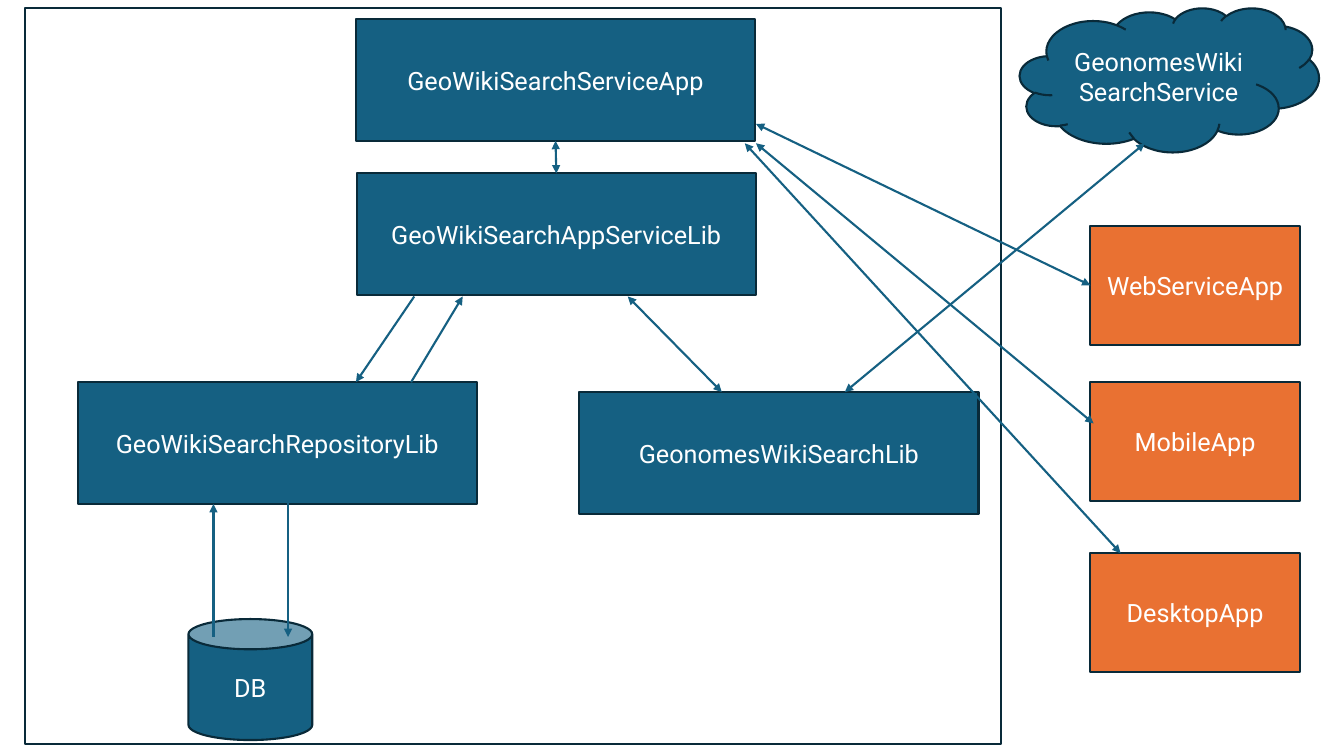
from lxml import etree
from pptx import Presentation
from pptx.dml.color import RGBColor
from pptx.enum.shapes import MSO_CONNECTOR, MSO_SHAPE
from pptx.enum.text import MSO_ANCHOR, PP_ALIGN
from pptx.oxml.ns import qn
from pptx.util import Cm, Pt

RECT, CAN, CLOUD = MSO_SHAPE.RECTANGLE, MSO_SHAPE.CAN, MSO_SHAPE.CLOUD
STRAIGHT = MSO_CONNECTOR.STRAIGHT
CENTER, MIDDLE = PP_ALIGN.CENTER, MSO_ANCHOR.MIDDLE
TOP, LEFT, BOTTOM = 0, 1, 2

BLUE = RGBColor(0x15, 0x60, 0x82)
NAVY = RGBColor(0x09, 0x2A, 0x39)
ORANGE = RGBColor(0xE9, 0x71, 0x32)
WHITE = RGBColor(0xFF, 0xFF, 0xFF)
FONT = "Roboto"

# Content, lengths in cm
MODULE_SIZE = (10.06, 3.07)
CLIENT_SIZE = (5.28, 3)
CLIENT_X = 27.48
FRAME = (0.64, 0.2, 24.59, 18.54)

MODULES = [  # name, left, top
    ("GeoWikiSearchRepositoryLib", 1.96, 9.63),
    ("GeonomesWikiSearchLib", 14.6, 9.88),
    ("GeoWikiSearchAppServiceLib", 8.99, 4.37),
    ("GeoWikiSearchServiceApp", 8.97, 0.48),
]
CLIENTS = [("WebServiceApp", 5.69), ("MobileApp", 9.63), ("DesktopApp", 13.94)]
STORES = [
    ("DB", CAN, (4.75, 15.6, 3.12, 3.05)),
    ("GeonomesWikiSearchService", CLOUD, (25.7, 0.2, 7.54, 3.63)),
]
ARROWS = [  # from, to, two-way
    ((7.26, 12.62), (7.26, 16.05), False),
    ((5.38, 16.05), (5.38, 12.7), False),
    ((21.29, 9.88), (28.85, 3.61), True),
    ((10.44, 7.47), (8.97, 9.63), False),
    ((15.82, 7.47), (18.19, 9.88), True),
    ((10.36, 9.63), (11.66, 7.47), False),
    ((27.56, 10.67), (19.05, 3.61), True),
    ((28.24, 13.94), (18.77, 3.61), True),
]
WEB_ARROW_END = (19.05, 3.12)

prs = Presentation()
prs.slide_width, prs.slide_height = Cm(33.87), Cm(19.05)
shapes = prs.slides.add_slide(prs.slide_layouts[6]).shapes


def add_box(kind, box, fill=None, text=""):
    sp = shapes.add_shape(kind, *map(Cm, box))
    sp.shadow.inherit = False
    sp.line.color.rgb = NAVY
    sp.line.width = Pt(1.5)
    if fill is None:
        sp.fill.background()
        return sp
    sp.fill.solid()
    sp.fill.fore_color.rgb = fill
    tf = sp.text_frame
    tf.word_wrap = True
    tf.vertical_anchor = MIDDLE
    tf.text = text
    p = tf.paragraphs[0]
    p.alignment = CENTER
    font = p.runs[0].font
    font.name, font.size, font.color.rgb = FONT, Pt(18), WHITE
    return sp


def add_arrow(start, end, two_way):
    cx = shapes.add_connector(STRAIGHT, *map(Cm, start + end))
    cx.line.color.rgb = BLUE
    cx.line.width = Pt(1.5)
    ln = cx.line._get_or_add_ln()
    for tag in ("a:headEnd", "a:tailEnd") if two_way else ("a:tailEnd",):
        etree.SubElement(ln, qn(tag), type="triangle")
    etree.SubElement(cx._element.spPr, qn("a:effectLst"))
    return cx


# System frame, modules, stores and client apps
add_box(RECT, FRAME)
boxes = {}
for name, x, y in MODULES:
    boxes[name] = add_box(RECT, (x, y) + MODULE_SIZE, BLUE, name)
for name, kind, box in STORES:
    add_box(kind, box, BLUE, name)
for name, y in CLIENTS:
    boxes[name] = add_box(RECT, (CLIENT_X, y) + CLIENT_SIZE, ORANGE, name)

# Free arrows
for arrow in ARROWS:
    add_arrow(*arrow)

# Arrows joined to the middle of a side
cx = add_arrow((14, 3.55), (14.02, 4.37), True)
cx.begin_connect(boxes["GeoWikiSearchServiceApp"], BOTTOM)
cx.end_connect(boxes["GeoWikiSearchAppServiceLib"], TOP)
cx = add_arrow((CLIENT_X, 7.19), WEB_ARROW_END, True)
cx.begin_connect(boxes["WebServiceApp"], LEFT)

prs.save("out.pptx")
